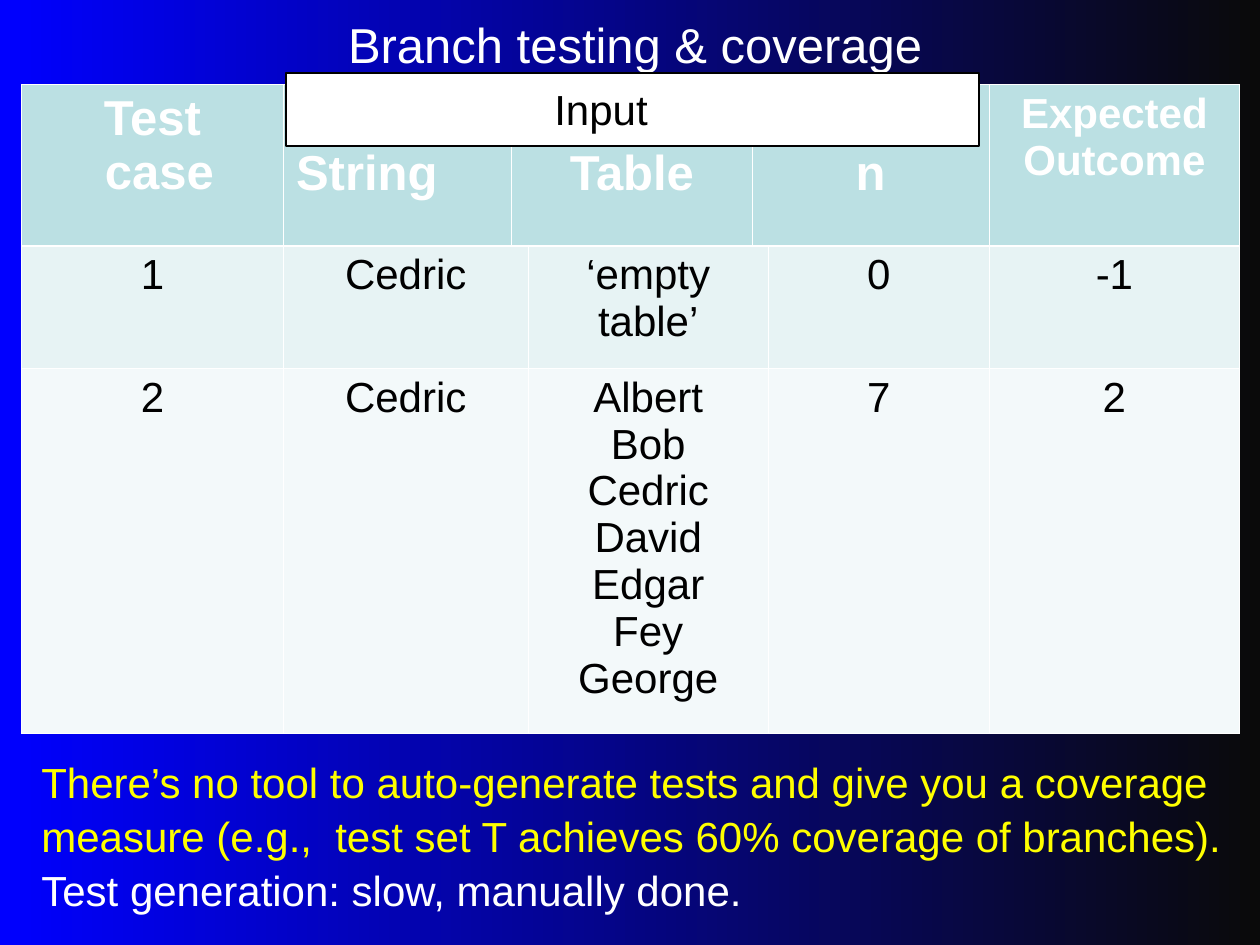
from lxml.etree import SubElement
from pptx import Presentation
from pptx.dml.color import RGBColor
from pptx.enum.shapes import MSO_SHAPE
from pptx.enum.text import MSO_ANCHOR, MSO_AUTO_SIZE, PP_ALIGN
from pptx.oxml.ns import qn
from pptx.util import Inches, Pt

WHITE = RGBColor(0xFF, 0xFF, 0xFF)
BLACK = RGBColor(0x00, 0x00, 0x00)
BLUE = RGBColor(0x00, 0x00, 0xFF)
NEAR_BLACK = RGBColor(0x0A, 0x0A, 0x0A)
YELLOW = RGBColor(0xFF, 0xFF, 0x00)
ROW_FILLS = [
    RGBColor(0xBB, 0xE0, 0xE3),
    RGBColor(0xE7, 0xF3, 0xF4),
    RGBColor(0xF3, 0xF9, 0xFA),
]
THIN, THICK = 0.45, 1.47


def write_lines(frame, lines, size, color, bold=False, align=PP_ALIGN.LEFT):
    frame.text = "\n".join(lines)
    for para in frame.paragraphs:
        para.alignment = align
        para.font.name = "Arial"
        para.font.size = Pt(size)
        para.font.bold = bold
        para.font.color.rgb = color


def add_borders(cell, top, bottom):
    properties = cell._tc.get_or_add_tcPr()
    sides = {"a:lnL": THIN, "a:lnR": THIN, "a:lnT": top, "a:lnB": bottom}
    for position, (tag, width) in enumerate(sides.items()):
        line = SubElement(properties, qn(tag), w=str(Pt(width)))
        color = SubElement(SubElement(line, qn("a:solidFill")), qn("a:srgbClr"))
        color.set("val", str(WHITE))
        properties.insert(position, line)


deck = Presentation()
deck.slide_width, deck.slide_height = Inches(10), Inches(7.5)
page = deck.slides.add_slide(deck.slide_layouts[5])

# Background: blue to black, left to right
background = page.background.fill
background.gradient()
background.gradient_angle = 0
for stop, color in zip(background.gradient_stops, (BLUE, NEAR_BLACK)):
    stop.color.rgb = color

# Title
title = page.shapes.title
title.left, title.top = Inches(0.08), Inches(0)
title.width, title.height = Inches(9.92), Inches(0.69)
title.text_frame.vertical_anchor = MSO_ANCHOR.MIDDLE
write_lines(title.text_frame, ["Branch testing & coverage"], 28, WHITE,
            align=PP_ALIGN.CENTER)

# Table of test cases; narrow columns offset the header from the body
column_widths = [2.08, 1.81, 0.13, 1.78, 0.13, 1.75, 1.99]
row_heights = [1.28, 0.97, 2.9]
table = page.shapes.add_table(
    len(row_heights), len(column_widths),
    Inches(0.17), Inches(0.67), Inches(9.67), Inches(5.15)).table
for column, width in zip(table.columns, column_widths):
    column.width = Inches(width)
for row, height in zip(table.rows, row_heights):
    row.height = Inches(height)

for index, row in enumerate(table.rows):
    for cell in row.cells:
        cell.fill.solid()
        cell.fill.fore_color.rgb = ROW_FILLS[index]
        add_borders(cell, THICK if index == 1 else THIN,
                    THICK if index == 0 else THIN)

for row, first in [(0, 2), (0, 4), (1, 1), (1, 3), (2, 1), (2, 3)]:
    table.cell(row, first).merge(table.cell(row, first + 1))

# Header row
headers = {0: ["Test", "case"], 1: ["String"], 2: ["Table"], 4: ["n"],
           6: ["Expected", "Outcome"]}
for column, lines in headers.items():
    cell = table.cell(0, column)
    write_lines(cell.text_frame, lines, 24 if column == 6 else 28, WHITE,
                bold=True, align=PP_ALIGN.CENTER)
    if len(lines) == 1:
        cell.margin_top = Inches(0.49)
table.cell(0, 0).text_frame.paragraphs[1]._p.get_or_add_pPr().set(
    "marL", str(Inches(0.11)))
table.cell(0, 1).text_frame.paragraphs[0].alignment = PP_ALIGN.LEFT

# Body rows
names = ["Albert", "Bob", "Cedric", "David", "Edgar", "Fey", "George"]
body = [
    {0: ["1"], 1: ["Cedric"], 3: ["‘empty table’"], 5: ["0"], 6: ["-1"]},
    {0: ["2"], 1: ["Cedric"], 3: names, 5: ["7"], 6: ["2"]},
]
for row, entries in enumerate(body, start=1):
    for column, lines in entries.items():
        write_lines(table.cell(row, column).text_frame, lines, 24, BLACK,
                    align=PP_ALIGN.CENTER)

# Input banner over the header
banner = page.shapes.add_shape(
    MSO_SHAPE.RECTANGLE, Inches(2.27), Inches(0.58), Inches(5.5), Inches(0.58))
banner.shadow.inherit = False
banner.fill.solid()
banner.fill.fore_color.rgb = WHITE
banner.line.color.rgb = BLACK
banner.line.width = Pt(0.75)
banner.text_frame.vertical_anchor = MSO_ANCHOR.TOP
banner.text_frame.margin_left = Inches(2.13)
write_lines(banner.text_frame, ["Input"], 24, BLACK)

# Remarks below the table
remarks = page.shapes.add_textbox(
    Inches(0.23), Inches(5.92), Inches(9.57), Inches(1.3))
remarks.text_frame.word_wrap = False
remarks.text_frame.auto_size = MSO_AUTO_SIZE.SHAPE_TO_FIT_TEXT
write_lines(remarks.text_frame, [
    "There’s no tool to auto-generate tests and give you a coverage",
    "measure (e.g.,  test set T achieves 60% coverage of branches).",
    "Test generation: slow, manually done.",
], 24, YELLOW)
remarks.text_frame.paragraphs[2].font.color.rgb = WHITE

for box in (banner, remarks):
    for para in box.text_frame.paragraphs:
        para.line_spacing = 1.08

deck.save("out.pptx")
